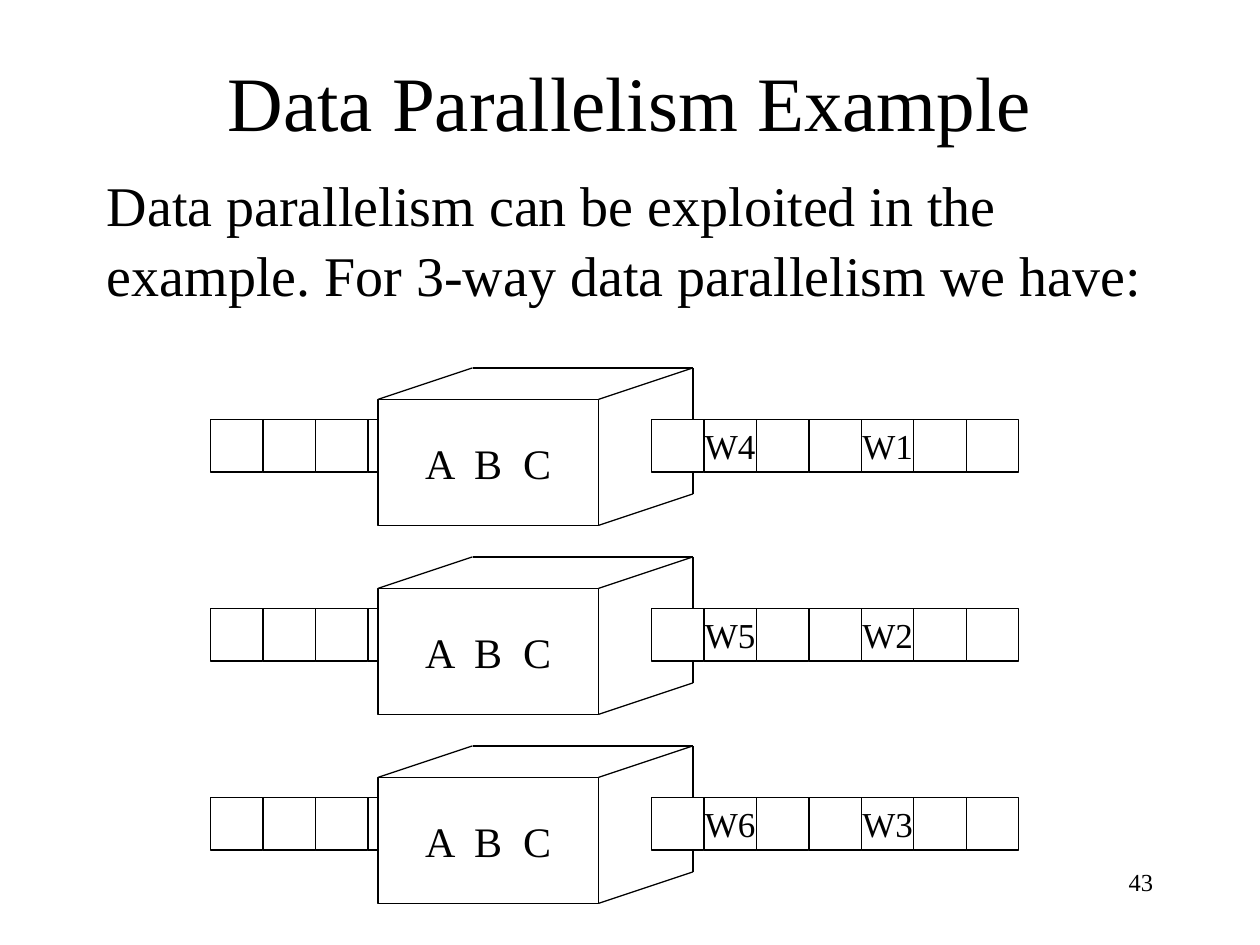
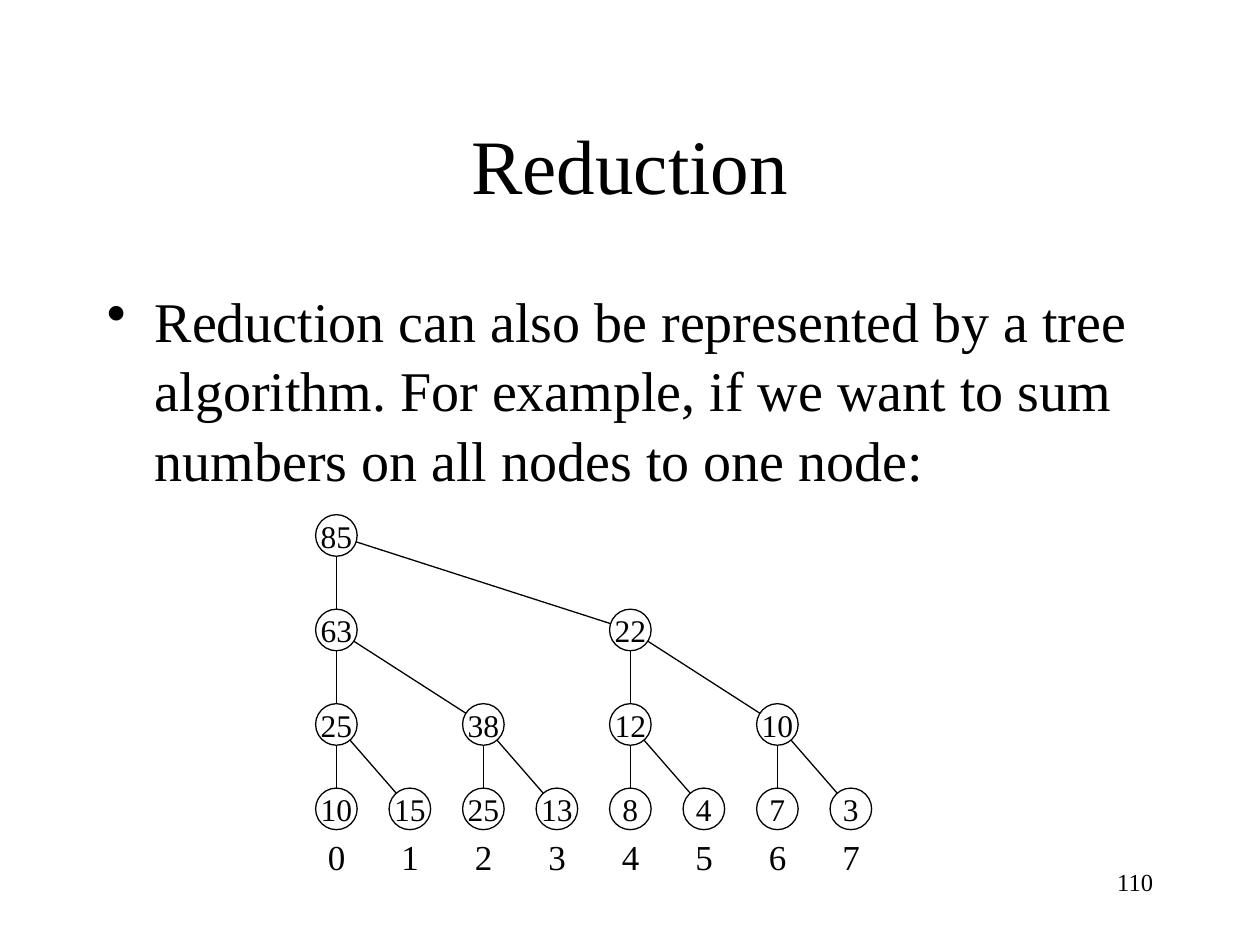
from pptx import Presentation
from pptx.dml.color import RGBColor
from pptx.enum.shapes import MSO_CONNECTOR as CONNECTOR, MSO_SHAPE as SHAPE
from pptx.enum.text import MSO_ANCHOR as ANCHOR, PP_ALIGN as ALIGN
from pptx.oxml.ns import qn
from pptx.util import Inches, Pt
from lxml.etree import SubElement

COLORS = {"ink": "000000", "paper": "FFFFFF"}
FONT = "Times New Roman"
INK = RGBColor.from_string(COLORS["ink"])
PAPER = RGBColor.from_string(COLORS["paper"])
LINE_WIDTH = Pt(0.75)


def put_text(slide, text, left, top, width, height, *, size=20, outline=None,
             align=ALIGN.CENTER, anchor=ANCHOR.MIDDLE, wrap=False,
             bullet=False, tracking=0, line_spacing=None):
    """Put text in a plain box, or in a preset shape when outline is given."""
    area = [Inches(length) for length in (left, top, width, height)]
    if outline is None:
        holder = slide.shapes.add_textbox(*area)
    else:
        holder = slide.shapes.add_shape(outline, *area)
        holder.shadow.inherit = False
        holder.fill.solid()
        holder.fill.fore_color.rgb = PAPER
        holder.line.color.rgb = INK
        holder.line.width = LINE_WIDTH
    if not text:
        return
    frame = holder.text_frame
    frame.word_wrap = wrap
    frame.vertical_anchor = anchor
    paragraph = frame.paragraphs[0]
    paragraph.alignment = align
    if line_spacing:
        paragraph.line_spacing = line_spacing
    if bullet:
        properties = paragraph._p.get_or_add_pPr()
        properties.set("marL", str(Inches(0.38)))
        properties.set("indent", str(-Inches(0.38)))
        SubElement(properties, qn("a:buChar"), char="•")
    run = paragraph.add_run()
    run.text = text
    run.font.name = FONT
    run.font.size = Pt(size)
    run.font.color.rgb = INK
    if tracking:
        run.font._element.set("spc", str(tracking * 100))


def add_line(slide, start, end):
    line = slide.shapes.add_connector(
        CONNECTOR.STRAIGHT, *[Inches(length) for length in (*start, *end)])
    line.line.color.rgb = INK
    line.line.width = LINE_WIDTH
    SubElement(line._element.spPr, qn("a:effectLst"))


prs = Presentation()
prs.slide_width, prs.slide_height = Inches(10), Inches(7.5)

# Title, body text and page number of both slides
pages = [
    {"title": "Data Parallelism Example", "title_top": 0.17,
     "body": "Data parallelism can be exploited in the example. "
             "For 3-way data parallelism we have:",
     "body_top": 1.28, "bullet": False, "number": "43"},
    {"title": "Reduction", "title_top": 0.67,
     "body": "Reduction can also be represented by a tree algorithm. "
             "For example, if we want to sum numbers on all nodes to one node:",
     "body_top": 2.2, "bullet": True, "number": "110"},
]
slides = []
for page in pages:
    slide = prs.slides.add_slide(prs.slide_layouts[6])
    put_text(slide, page["number"], 7.17, 6.83, 2.08, 0.5, size=14,
             align=ALIGN.RIGHT, anchor=ANCHOR.TOP, wrap=True)
    put_text(slide, page["title"], 0.75, page["title_top"], 8.5, 1.25,
             size=44, wrap=True)
    put_text(slide, page["body"], 0.75, page["body_top"], 8.5, 1.75, size=32,
             align=ALIGN.LEFT, anchor=ANCHOR.TOP, wrap=True,
             bullet=page["bullet"], line_spacing=1.04)
    slides.append(slide)
parallelism, reduction = slides

# Three parallel pipelines: input queue, processing block, output queue
CELL = 5 / 12
BLOCK_LEFT, BLOCK_RIGHT, BLOCK_HEIGHT = 3, 4.75, 1
DEPTH_X, DEPTH_Y = 0.75, 0.25
outputs = [("W4", "W1"), ("W5", "W2"), ("W6", "W3")]
for row, (later, earlier) in enumerate(outputs):
    front_top = 3.17 + 1.5 * row
    front_bottom = front_top + BLOCK_HEIGHT
    back_top, back_bottom = front_top - DEPTH_Y, front_bottom - DEPTH_Y
    back_left, back_right = BLOCK_LEFT + DEPTH_X, BLOCK_RIGHT + DEPTH_X
    queue_top = front_top + 0.16

    for column in range(4):
        put_text(parallelism, "", 1.67 + column * CELL, queue_top, CELL, CELL,
                 outline=SHAPE.RECTANGLE)

    put_text(parallelism, "A B C", BLOCK_LEFT, front_top,
             BLOCK_RIGHT - BLOCK_LEFT, BLOCK_HEIGHT,
             size=24, outline=SHAPE.RECTANGLE, tracking=3)
    block_edges = [
        ((BLOCK_LEFT, front_top), (back_left, back_top)),
        ((BLOCK_RIGHT, front_top), (back_right, back_top)),
        ((BLOCK_RIGHT, front_bottom), (back_right, back_bottom)),
        ((back_right, back_top), (back_right, back_bottom)),
        ((back_left, back_top), (back_right, back_top)),
    ]
    for start, end in block_edges:
        add_line(parallelism, start, end)

    for column, item in enumerate(["", later, "", "", earlier, "", ""]):
        put_text(parallelism, item, 5.17 + column * CELL, queue_top, CELL, CELL,
                 outline=SHAPE.RECTANGLE)

# Reduction tree: each node sits above its first child
NODE = 0.33
NODE_GAP = 7 / 12
TREE_LEFT = 2.67
level_heights = [4.25, 5, 5.75, 6.42]
levels = [[85], [63, 22], [25, 38, 12, 10], [10, 15, 25, 13, 8, 4, 7, 3]]
leaf_count = len(levels[-1])
centers = [[(TREE_LEFT + i * leaf_count / len(sums) * NODE_GAP, y)
            for i in range(len(sums))]
           for sums, y in zip(levels, level_heights)]

# Branches lie behind the nodes
for parents, children in zip(centers, centers[1:]):
    for i, child in enumerate(children):
        add_line(reduction, parents[i // 2], child)

for sums, places in zip(levels, centers):
    for total, (x, y) in zip(sums, places):
        put_text(reduction, str(total), x - NODE / 2, y - NODE / 2, NODE, NODE,
                 size=18, outline=SHAPE.OVAL)

# Processor numbers below the leaves
for processor, (x, y) in enumerate(centers[-1]):
    put_text(reduction, str(processor), x - NODE / 2, 6.58, NODE, 0.43,
             anchor=ANCHOR.TOP)

prs.save("out.pptx")
